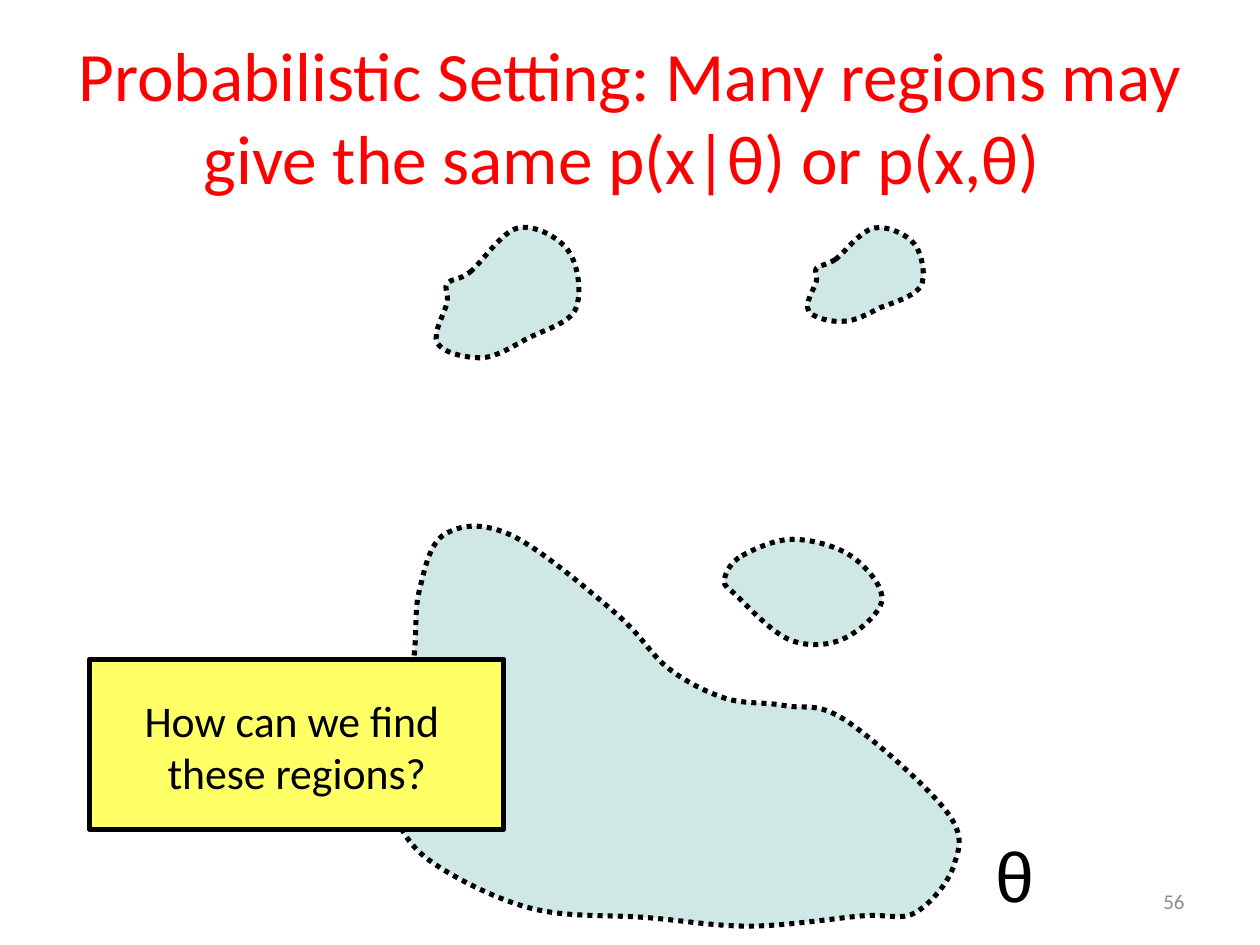
from lxml.etree import SubElement
from pptx import Presentation
from pptx.dml.color import RGBColor
from pptx.enum.dml import MSO_LINE
from pptx.enum.shapes import MSO_SHAPE
from pptx.enum.text import MSO_ANCHOR, MSO_AUTO_SIZE, PP_ALIGN
from pptx.oxml.ns import qn
from pptx.util import Pt

COLORS = {
    "title": "FF0000",
    "region": "CFE7E5",
    "callout": "FFFF66",
    "ink": "000000",
    "number": "8C8C8C",
}
LINE_WIDTH = 2.89
UNIT = Pt(0.72)  # region outlines are given in hundredths of an inch

# Points that each smooth outline passes through
LARGE_REGION = [
    (319, 608), (329, 517), (333, 468), (353, 424), (404, 424), (489, 487),
    (530, 530), (575, 554), (623, 560), (670, 571), (752, 645), (757, 687),
    (727, 724), (683, 727), (594, 735), (510, 728), (422, 721), (341, 683),
    (312, 642),
]
RIGHT_REGION = [
    (589, 441), (629, 428), (675, 441), (700, 476), (667, 508), (625, 507),
    (586, 474), (575, 460),
]
# Outline of both upper regions, relative to the top left corner
UPPER_REGION = [
    (27, 35), (65, 0), (105, 18), (111, 64), (72, 88), (35, 103), (1, 91),
    (9, 58), (9, 44),
]


def color(name):
    return RGBColor.from_string(COLORS[name])


def style_shape(shape, fill):
    shape.shadow.inherit = False
    shape.fill.solid()
    shape.fill.fore_color.rgb = color(fill)
    shape.line.color.rgb = color("ink")
    shape.line.width = Pt(LINE_WIDTH)


def set_text(shape, lines, size, ink, font="Calibri",
             align=PP_ALIGN.CENTER, margins=(7.2, 3.6, 7.2, 3.6), wrap=True):
    frame = shape.text_frame
    frame.auto_size = MSO_AUTO_SIZE.NONE
    frame.word_wrap = wrap
    frame.vertical_anchor = MSO_ANCHOR.MIDDLE
    (frame.margin_left, frame.margin_top,
     frame.margin_right, frame.margin_bottom) = map(Pt, margins)
    frame.text = "\n".join(lines)
    for paragraph in frame.paragraphs:
        paragraph.alignment = align
        paragraph.font.name = font
        paragraph.font.size = Pt(size)
        paragraph.font.color.rgb = color(ink)


def add_label(slide, box, text, **style):
    label = slide.shapes.add_textbox(*map(Pt, box))
    set_text(label, [text], **style)


def place(outline, left, top, scale_x=1, scale_y=1):
    return [(left + x * scale_x, top + y * scale_y) for x, y in outline]


def bezier_points(knots):
    """Return two handles and an end point for each span of a closed curve."""
    def handle(index, direction):
        return tuple(
            here + direction * (after - before) / 6
            for before, here, after in zip(
                knots[index - 1], knots[index],
                knots[(index + 1) % len(knots)]))

    points = []
    for index in range(len(knots)):
        following = (index + 1) % len(knots)
        points += [handle(index, 1), handle(following, -1), knots[following]]
    return points


def add_region(slide, knots):
    builder = slide.shapes.build_freeform(*knots[0], scale=UNIT)
    builder.add_line_segments(bezier_points(knots), close=True)
    region = builder.convert_to_shape()
    style_shape(region, "region")
    region.line.dash_style = MSO_LINE.ROUND_DOT
    # Turn each three straight segments into one Bezier curve
    outline = next(region._element.iter(qn("a:path")))
    segments = outline.findall(qn("a:lnTo"))[:3 * len(knots)]
    for first in range(0, len(segments), 3):
        bezier = SubElement(outline, qn("a:cubicBezTo"))
        segments[first].addprevious(bezier)
        for segment in segments[first:first + 3]:
            bezier.append(segment[0])
            outline.remove(segment)


def add_callout(slide, box, lines):
    callout = slide.shapes.add_shape(MSO_SHAPE.RECTANGLE, *map(Pt, box))
    style_shape(callout, "callout")
    set_text(callout, lines, 25, "ink", margins=(8, 6, 8, 4), wrap=False)


def set_title(slide, box, text):
    title = slide.shapes.title
    title.left, title.top, title.width, title.height = map(Pt, box)
    set_text(title, [text], 39.6, "title", margins=(7.2, 2, 7.2, 3.6))


def main():
    presentation = Presentation()
    presentation.slide_width, presentation.slide_height = Pt(720), Pt(540)
    slide = presentation.slides.add_slide(presentation.slide_layouts[5])

    # Slide number
    add_label(slide, (516, 500.5, 168, 28.8), "56", size=12, ink="number",
              align=PP_ALIGN.RIGHT)

    # Parameter space: regions of equal probability
    add_region(slide, LARGE_REGION)
    add_region(slide, place(UPPER_REGION, 641, 181, 0.81, 0.72))
    add_region(slide, RIGHT_REGION)
    add_region(slide, place(UPPER_REGION, 346, 181))
    add_label(slide, (562.3, 476.6, 35.3, 44.6), "θ", size=40, ink="ink",
              font="Arial", margins=(0, 2, 0, 0))

    # Title and question
    set_title(slide, (36, 21.6, 648, 90),
              "Probabilistic Setting: Many regions may give the same "
              "p(x|θ) or p(x,θ) ")
    add_callout(slide, (51.1, 376.6, 236.9, 97.2),
                ["How can we find ", "these regions?"])

    presentation.save("out.pptx")


if __name__ == "__main__":
    main()
